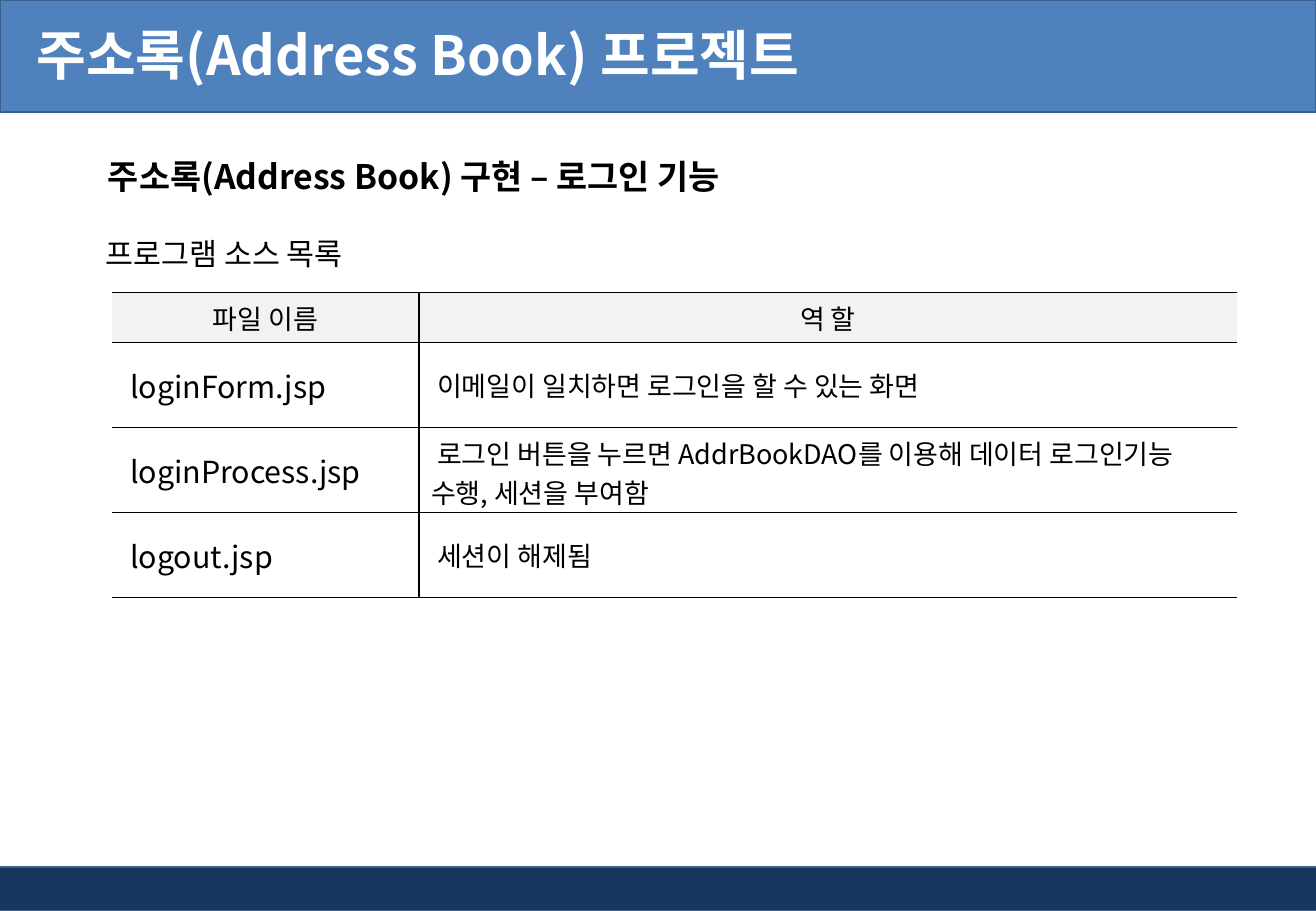
from dataclasses import dataclass
from lxml.etree import SubElement as Sub
from pptx import Presentation
from pptx.dml.color import RGBColor as Rgb
from pptx.enum.shapes import MSO_SHAPE as Shape
from pptx.enum.text import MSO_ANCHOR as Anchor, MSO_AUTO_SIZE as Fit, PP_ALIGN as Align
from pptx.oxml.ns import qn
from pptx.util import Inches, Pt

WIDE, HIGH = 10.83, 7.5


@dataclass(frozen=True)
class Theme:
    face: str = "Noto Sans CJK KR"
    band: str = "4F81BD"
    foot: str = "17375E"
    edge: str = "3A5F8C"
    head: str = "F2F2F2"
    ink: str = "000000"
    pale: str = "FFFFFF"
    title: int = 32
    sub: int = 20
    name: int = 18
    body: int = 16
    thick: float = 1
    thin: float = 0.5


T = Theme()

HEADS = ["파일 이름", "역 할"]
FILES = [
    ["loginForm.jsp", "이메일이 일치하면 로그인을 할 수 있는 화면"],
    ["loginProcess.jsp", "로그인 버튼을 누르면 AddrBookDAO를 이용해 데이터 로그인기능 수행, 세션을 부여함"],
    ["logout.jsp", "세션이 해제됨"],
]


def inch(box):
    return [Inches(v) for v in box]


def write(para, text, size, color=T.ink, bold=False):
    run = para.add_run()
    run.text = text
    font = run.font
    font.size, font.bold, font.name = Pt(size), bold, T.face
    font.color.rgb = Rgb.from_string(color)
    Sub(font._element, qn("a:ea"), typeface=T.face)


def bar(slide, box, color):
    shape = slide.shapes.add_shape(Shape.RECTANGLE, *inch(box))
    shape.shadow.inherit = False
    shape.fill.solid()
    shape.fill.fore_color.rgb = Rgb.from_string(color)
    shape.line.color.rgb = Rgb.from_string(T.edge)
    shape.line.width = Pt(1)
    # Bars lie behind the title
    slide.shapes.element.insert(2, shape.element)


def header(slide, box, text):
    left, top, width, height = box
    bar(slide, box, T.band)
    title = slide.shapes.title
    title.left, title.top, title.width, title.height = inch(
        (left, top - 0.03, width * 0.81, height + 0.02))
    frame = title.text_frame
    frame.auto_size, frame.word_wrap = Fit.NONE, True
    frame.vertical_anchor = Anchor.MIDDLE
    frame.margin_left = Inches(0.3)
    para = frame.paragraphs[0]
    para.alignment = Align.LEFT
    write(para, text, T.title, T.pale, True)


def label(slide, box, text, size, bold=False, space=1.0):
    frame = slide.shapes.add_textbox(*inch(box)).text_frame
    frame.word_wrap = True
    para = frame.paragraphs[0]
    para.line_spacing = space
    write(para, text, size, bold=bold)


def rule(cell, side, width):
    line = Sub(cell._tc.get_or_add_tcPr(), qn("a:ln" + side), w=str(Pt(width)))
    if width:
        fill = Sub(line, qn("a:solidFill"))
        Sub(fill, qn("a:srgbClr"), val=T.ink)
    else:
        Sub(line, qn("a:noFill"))


def listing(slide, box, rows, shares, first):
    left, top, width, height = box
    count = len(rows)
    table = slide.shapes.add_table(count, len(shares), *inch(box)).table
    table.first_row = table.horz_banding = False
    for col, share in zip(table.columns, shares):
        col.width = Inches(width * share)
    for r, texts in enumerate(rows):
        table.rows[r].height = Inches(first if r == 0 else (height - first) / (count - 1))
        for c, text in enumerate(texts):
            cell = table.cell(r, c)
            cell.vertical_anchor = Anchor.MIDDLE
            # Outer sides stay open
            rule(cell, "L", T.thick if c else 0)
            rule(cell, "R", 0 if c == len(shares) - 1 else T.thick)
            rule(cell, "T", T.thick if r < 2 else T.thin)
            rule(cell, "B", T.thick if r in (0, count - 1) else T.thin)
            if r == 0:
                cell.fill.solid()
                cell.fill.fore_color.rgb = Rgb.from_string(T.head)
            else:
                cell.fill.background()
            para = cell.text_frame.paragraphs[0]
            if r == 0:
                para.alignment = Align.CENTER
            else:
                # First-line indent
                para._p.get_or_add_pPr().set("indent", str(Inches(0.05)))
            write(para, text, T.name if r and c == 0 else T.body)


def content(slide, box):
    left, top, width, height = box
    label(slide, (left, top, width, 0.61),
          "주소록(Address Book) 구현 – 로그인 기능", T.sub, True, 1.5)
    label(slide, (left - 0.02, top + 0.82, width * 0.36, 0.4), "프로그램 소스 목록", T.name)
    listing(slide, (left + 0.13, top + 1.34, width - 0.27, 2.51),
            [HEADS] + FILES, (0.273, 0.727), 0.41)


def main():
    deck = Presentation()
    deck.slide_width, deck.slide_height = inch((WIDE, HIGH))
    slide = deck.slides.add_slide(deck.slide_layouts[5])
    # Title band, footer band, body
    header(slide, (0, 0, WIDE, 0.92), "주소록(Address Book) 프로젝트")
    bar(slide, (-0.04, HIGH - 0.36, WIDE + 0.05, 0.36), T.foot)
    content(slide, (0.79, 1.07, WIDE * 0.88, HIGH * 0.51))
    deck.save("out.pptx")


if __name__ == "__main__":
    main()
